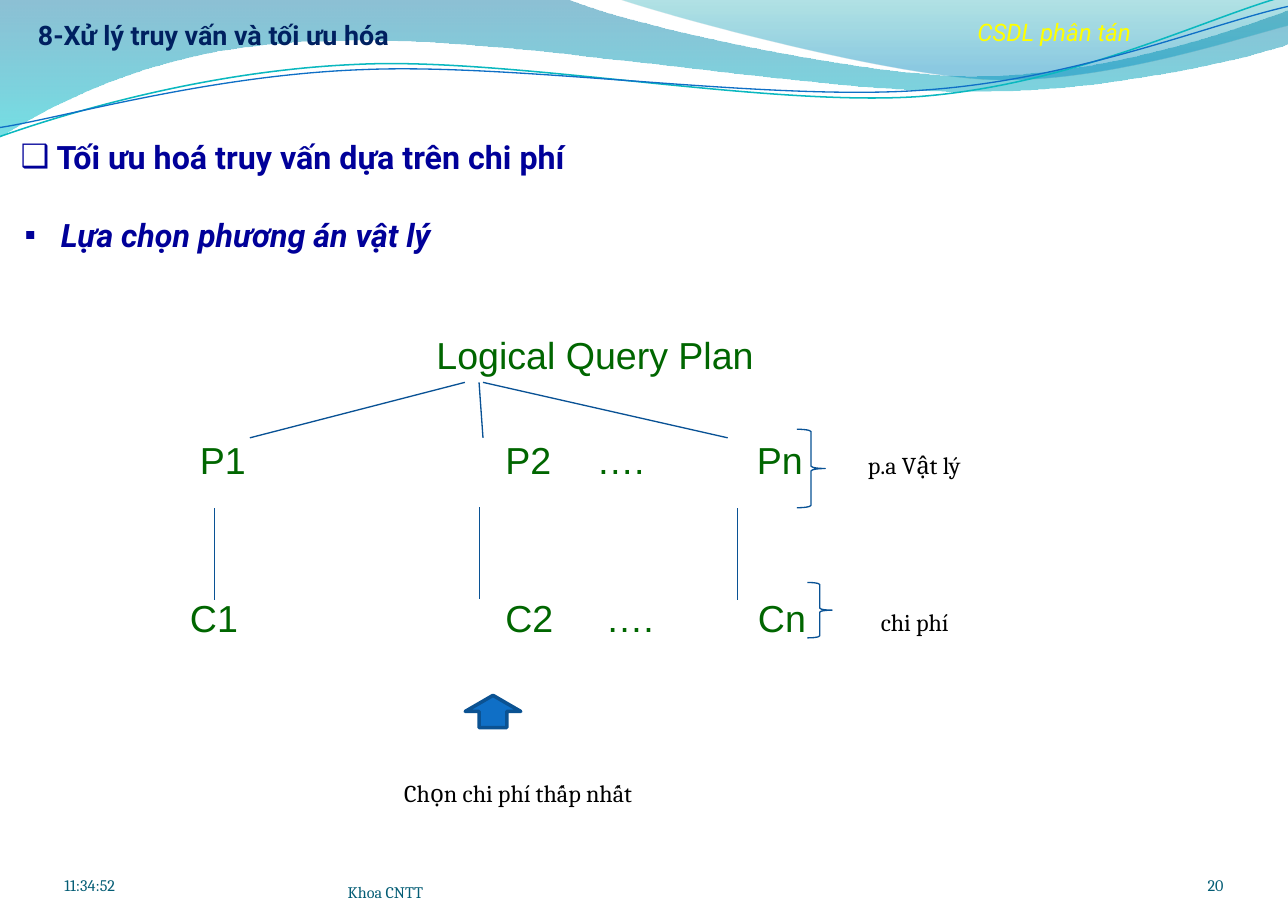
import math

import pptx
import pptx.dml.color
import pptx.enum.shapes
import pptx.enum.text
import pptx.oxml
import pptx.oxml.ns
import pptx.util
from lxml import etree

Pt = pptx.util.Pt
RGBColor = pptx.dml.color.RGBColor
SHAPE = pptx.enum.shapes.MSO_SHAPE
ALIGN = pptx.enum.text.PP_ALIGN
ANCHOR = pptx.enum.text.MSO_ANCHOR
qn = pptx.oxml.ns.qn

NAVY = RGBColor(0x00, 0x00, 0x99)
DARK_BLUE = RGBColor(0x00, 0x20, 0x60)
YELLOW = RGBColor(0xFF, 0xFF, 0x00)
GREEN = RGBColor(0x00, 0x66, 0x00)
BLACK = RGBColor(0x00, 0x00, 0x00)
FOOTER_TEAL = RGBColor(0x04, 0x5D, 0x75)
BRANCH_BLUE = RGBColor(0x09, 0x52, 0x95)
ARROW_BLUE = RGBColor(0x0F, 0x6F, 0xC6)
ARROW_EDGE = RGBColor(0x0B, 0x52, 0x92)
WAVE_TEAL = RGBColor(0x0A, 0xB8, 0xBF)

# Outlines: a start point, then segments of one point (line) or three (Bézier curve).
# Gradient stops: position, colour, opacity in percent.
WAVES = [
    ((0, 0),
     [[(316.8, -0.7)],
      [(342.7, 11.5), (478.1, 42.5), (545.8, 42.5)],
      [(614.2, 42.5), (689.8, 17.3), (720, 5.8)],
      [(720.7, 24.5)],
      [(707.8, 29.5), (626.4, 51.8), (537.1, 51.1)],
      [(447.8, 51.1), (275, 18.7), (185, 23)],
      [(92.9, 23.8), (33.1, 56.2), (-0.7, 77)],
      [(0, 0)]],
     [(0, RGBColor(0x00, 0x74, 0xA1), 45), (1, RGBColor(0x00, 0xC6, 0xCF), 55)]),
    ((344.9, -0.7),
     [[(366.5, 7.2), (491, 41.8), (553.7, 44.6)],
      [(616.3, 46.8), (691.9, 21.6), (720, 14.4)],
      [(720, 0)],
      [(344.9, -0.7)]],
     [(0, RGBColor(0x00, 0xA1, 0xA9), 30), (0.8, RGBColor(0x00, 0x8B, 0xBF), 45)]),
]
# Start, segments, centre of rotation, colour, width
WAVE_LINES = [
    ((0, 76.3),
     [[(34.6, 64.1), (113.8, 39.6), (199.4, 36)],
      [(284.4, 31.7), (426.2, 59.8), (513.4, 54)],
      [(599.8, 47.5), (675.4, 9.4), (718.6, -2.2)]],
     (359.3, 39.2), WAVE_TEAL, 0.85),
    ((0, 71.3),
     [[(33.8, 66.2), (118.1, 41.8), (203.8, 38.9)],
      [(290.2, 35.3), (429.8, 56.9), (516.2, 50.4)],
      [(601.9, 44.6), (677.5, 13), (720, 3.6)]],
     (359.6, 40.7), ARROW_BLUE, 0.75),
]
WAVE_TILT = 2.7

# Text, box, bullet, italic
HEADINGS = [
    ("Tối ưu hoá truy vấn dựa trên chi phí", (6.5, 73.8, 685.4, 42.5), "❑", False),
    ("Lựa chọn phương án vật lý", (8.8, 117.4, 459.4, 35.3), "▪", True),
]

# Text, box, font, size, colour, bold, italic, alignment, wrap
HEADERS = [
    ("CSDL phân tán", (539.3, 6, 183.6, 23.8), "Roboto", 13.5, YELLOW, False, True, ALIGN.LEFT, True),
    ("8-Xử lý truy vấn và tối ưu hóa", (-1.6, 6.8, 241.9, 25.2), "Roboto", 15, DARK_BLUE, True, False,
     ALIGN.CENTER, False),
]
NOTES = [
    ("p.a Vật lý", (478.1, 248.4, 67.7, 23.8)),
    ("chi phí", (485.3, 335.9, 55.4, 23.8)),
    ("Chọn chi phí thấp nhất", (218.9, 431.7, 150.5, 23.8)),
]
FOOTERS = [
    ("20", (624.2, 473, 59.8, 27.4), ALIGN.RIGHT),
    ("Khoa CNTT", (194.4, 482.4, 264.2, 21.6), ALIGN.LEFT),
    ("11:34:52", (36, 473, 167.8, 27.4), ALIGN.LEFT),
]

# Space before, then each label with its distance from the left edge of the text
TREE_BOX = (67.7, 182.9, 604.1, 247.7)
TREE_ROWS = [
    (0, [("Logical Query Plan", 171.3)]),
    (33.6, [("P1", 39.1), ("P2", 209.8), ("….", 260.8), ("Pn", 350.4)]),
    (63, [("C1", 33.5), ("C2", 209.8), ("….", 266), ("Cn", 351)]),
]
BRANCHES = [
    (259.9, 213.8, 139.7, 244.8), (267.8, 213.8, 270, 244.8), (270, 213.8, 406.8, 244.8),
    (119.9, 284.2, 119.9, 335.6), (267.9, 283.6, 267.9, 334.9), (412.3, 284.2, 412.3, 335.6),
]
BRACES = [(445.5, 240, 15.8, 43.9), (451.4, 325.7, 13.7, 31)]
CHOICE_ARROW = (260.1, 388.8, 31, 18)


def points(values):
    return [Pt(value) for value in values]


def turn(point, centre, degrees):
    angle = math.radians(degrees)
    dx, dy = point[0] - centre[0], point[1] - centre[1]
    return (centre[0] + dx * math.cos(angle) - dy * math.sin(angle),
            centre[1] + dx * math.sin(angle) + dy * math.cos(angle))


def add_outline(slide, start, segments, close):
    """Build a freeform round all the points, then turn its path into lines and curves."""
    vertices = [points(vertex) for vertex in sum(segments, [start])]
    builder = slide.shapes.build_freeform(*vertices[0], scale=1.0)
    builder.add_line_segments(vertices[1:], close=False)
    wave = builder.convert_to_shape()
    wave.shadow.inherit = False
    outline = next(wave.element.spPr.iter(qn("a:path")))
    for old in list(outline)[1:]:
        outline.remove(old)
    for segment in segments:
        command = etree.SubElement(outline, qn("a:lnTo" if len(segment) == 1 else "a:cubicBezTo"))
        for x, y in segment:
            etree.SubElement(command, qn("a:pt"), x=str(Pt(x) - wave.left), y=str(Pt(y) - wave.top))
    if close:
        etree.SubElement(outline, qn("a:close"))
    return wave


def set_line(shape, color, width):
    shape.line.color.rgb = color
    shape.line.width = Pt(width)


def set_font(paragraph, name, size, color, bold=False, italic=False):
    font = paragraph.font
    font.name, font.size, font.bold, font.italic = name, Pt(size), bold, italic
    font.color.rgb = color


def set_margins(frame, left, top, right, bottom):
    frame.margin_left, frame.margin_top, frame.margin_right, frame.margin_bottom = points(
        (left, top, right, bottom))


def add_text(slide, text, box, font, size, color, bold=False, italic=False, align=ALIGN.LEFT, wrap=False):
    frame = slide.shapes.add_textbox(*points(box)).text_frame
    frame.word_wrap = wrap
    paragraph = frame.paragraphs[0]
    paragraph.text = text
    paragraph.alignment = align
    set_font(paragraph, font, size, color, bold, italic)
    return frame


def add_waves(slide):
    for start, segments, stops in WAVES:
        wave = add_outline(slide, start, segments, True)
        wave.line.fill.background()
        wave.fill.gradient()
        wave.fill.gradient_angle = 270
        for stop, (position, color, _) in zip(wave.fill.gradient_stops, stops):
            stop.position = position
            stop.color.rgb = color
        for rgb, (_, _, opacity) in zip(wave.element.spPr.iter(qn("a:srgbClr")), stops):
            etree.SubElement(rgb, qn("a:alpha")).set("val", str(opacity * 1000))
    wave_lines = []
    for start, segments, centre, color, width in WAVE_LINES:
        level = [[turn(point, centre, WAVE_TILT) for point in segment] for segment in segments]
        wave = add_outline(slide, turn(start, centre, WAVE_TILT), level, False)
        wave.rotation = -WAVE_TILT
        wave.fill.background()
        set_line(wave, color, width)
        wave_lines.append(wave)
    slide.shapes.add_group_shape(wave_lines)


def fill_heading(heading, text, box, bullet, italic):
    heading.left, heading.top, heading.width, heading.height = points(box)
    frame = heading.text_frame
    frame.text = text
    frame.vertical_anchor = ANCHOR.TOP
    set_margins(frame, 5, 2.9, 5, 2.9)
    paragraph = frame.paragraphs[0]
    paragraph.alignment = ALIGN.LEFT
    paragraph.space_before = Pt(0)
    set_font(paragraph, "Roboto", 18, NAVY, True, italic)
    properties = paragraph._p.get_or_add_pPr()
    properties.set("marL", str(Pt(20.2)))
    properties.set("indent", str(-Pt(20.2)))
    for tag, attribute, value in (("buFont", "typeface", "Arial"), ("buChar", "char", bullet)):
        mark = pptx.oxml.parse_xml(f'<a:{tag} {pptx.oxml.ns.nsdecls("a")} {attribute}="{value}"/>')
        properties.insert_element_before(mark, "a:tabLst", "a:defRPr", "a:extLst")


def add_tree(slide):
    frame = slide.shapes.add_textbox(*points(TREE_BOX)).text_frame
    frame.word_wrap = True
    set_margins(frame, 5, 2.7, 5, 2.9)
    for index, (space, labels) in enumerate(TREE_ROWS):
        row = frame.add_paragraph() if index else frame.paragraphs[0]
        row.text = "".join("\t" + label for label, _ in labels)
        row.space_before = Pt(space)
        set_font(row, "Arial", 21, GREEN)
        tabs = pptx.oxml.parse_xml(f'<a:tabLst {pptx.oxml.ns.nsdecls("a")}/>')
        for _, offset in labels:
            etree.SubElement(tabs, qn("a:tab"), pos=str(Pt(offset)), algn="l")
        row._p.get_or_add_pPr().insert_element_before(tabs, "a:defRPr", "a:extLst")

    for ends in BRANCHES:
        branch = slide.shapes.add_connector(pptx.enum.shapes.MSO_CONNECTOR.STRAIGHT, *points(ends))
        set_line(branch, BRANCH_BLUE, 0.75)
        etree.SubElement(branch.element.spPr, qn("a:effectLst"))
    for box in BRACES:
        brace = slide.shapes.add_shape(SHAPE.RIGHT_BRACE, *points(box))
        brace.shadow.inherit = False
        brace.fill.background()
        set_line(brace, BRANCH_BLUE, 0.75)
    arrow = slide.shapes.add_shape(SHAPE.UP_ARROW, *points(CHOICE_ARROW))
    arrow.shadow.inherit = False
    arrow.fill.solid()
    arrow.fill.fore_color.rgb = ARROW_BLUE
    set_line(arrow, ARROW_EDGE, 2)


def main():
    deck = pptx.Presentation()
    deck.slide_width, deck.slide_height = Pt(720), Pt(510.5)
    slide = deck.slides.add_slide(deck.slide_layouts[1])
    add_waves(slide)
    for heading, content in zip(slide.placeholders, HEADINGS):
        fill_heading(heading, *content)
    for header in HEADERS:
        add_text(slide, *header)
    add_tree(slide)
    for text, box in NOTES:
        add_text(slide, text, box, "Cambria", 13.5, BLACK)
    for text, box, align in FOOTERS:
        frame = add_text(slide, text, box, "Cambria", 9, FOOTER_TEAL, align=align, wrap=True)
        set_margins(frame, 0, 0, 0, 0)
        frame.vertical_anchor = ANCHOR.BOTTOM
    deck.save("out.pptx")


if __name__ == "__main__":
    main()
